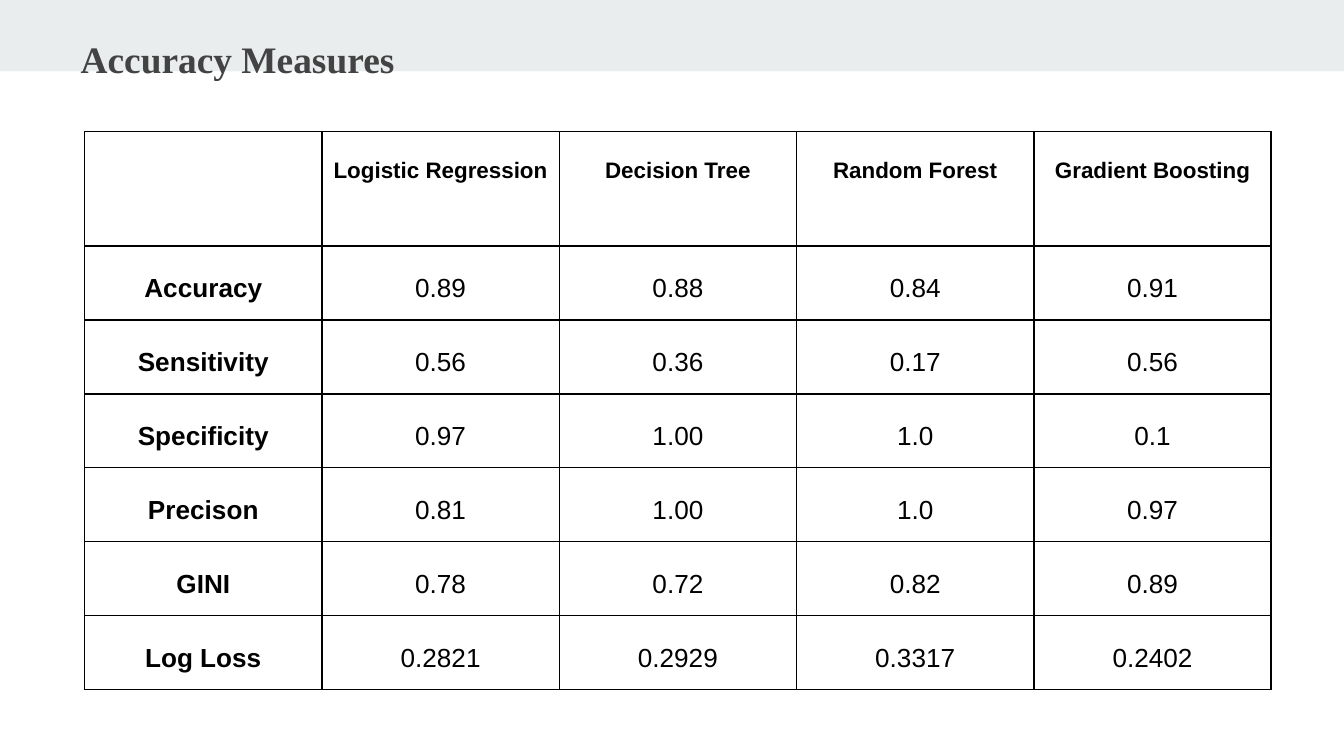
from lxml import etree
from pptx import Presentation
from pptx.dml.color import RGBColor
from pptx.enum import shapes, text
from pptx.oxml import ns
from pptx.util import Inches, Pt

BLACK = RGBColor(0, 0, 0)
BAND_GREY = RGBColor(0xE9, 0xED, 0xEE)
TITLE_GREY = RGBColor(0x43, 0x43, 0x43)

MEASURES = [
    ["", "Logistic Regression", "Decision Tree", "Random Forest", "Gradient Boosting"],
    ["Accuracy", "0.89", "0.88", "0.84", "0.91"],
    ["Sensitivity", "0.56", "0.36", "0.17", "0.56"],
    ["Specificity", "0.97", "1.00", "1.0", "0.1"],
    ["Precison", "0.81", "1.00", "1.0", "0.97"],
    ["GINI", "0.78", "0.72", "0.82", "0.89"],
    ["Log Loss", "0.2821", "0.2929", "0.3317", "0.2402"],
]


class SlideBuilder:
    title_font = "Times New Roman"
    table_font = "Arial"

    def __init__(self, deck):
        self.slide = deck.slides.add_slide(deck.slide_layouts[5])

    def band(self, width, height):
        band = self.slide.shapes.add_shape(shapes.MSO_SHAPE.RECTANGLE, 0, 0, width, height)
        band.shadow.inherit = False
        band.fill.solid()
        band.fill.fore_color.rgb = BAND_GREY
        band.line.fill.background()

    def title(self, words, left, top, width, height):
        """Fill the title placeholder and bring it to the front."""
        title = self.slide.shapes.title
        title.left, title.top, title.width, title.height = left, top, width, height
        frame = title.text_frame
        frame.text = words
        frame.word_wrap = True
        frame.auto_size = text.MSO_AUTO_SIZE.SHAPE_TO_FIT_TEXT
        frame.vertical_anchor = text.MSO_ANCHOR.TOP
        frame.margin_left = frame.margin_right = Inches(0.1)
        frame.margin_top = frame.margin_bottom = Inches(0.1)
        para = frame.paragraphs[0]
        para._p.get_or_add_pPr().set("marL", str(Inches(0.5)))
        para.alignment = text.PP_ALIGN.LEFT
        para.line_spacing = 1.5
        para.space_before = Pt(0)
        self.set_font(para, self.title_font, 20, TITLE_GREY, True)
        self.slide.shapes._spTree.append(title._element)

    def table(self, rows, left, top, width, header_height, row_height):
        count = len(rows[0])
        height = header_height + row_height * (len(rows) - 1)
        table = self.slide.shapes.add_table(
            len(rows), count, left, top, width, height).table
        table.first_row = table.horz_banding = False
        for i, values in enumerate(rows):
            table.rows[i].height = row_height if i else header_height
            for j, value in enumerate(values):
                self.cell(table.cell(i, j), value, 14 if i else 12, i == 0 or j == 0)

    def cell(self, cell, value, size, bold):
        cell.margin_left = cell.margin_right = Inches(0.07)
        cell.margin_top = cell.margin_bottom = Inches(0.1)
        self.cell_borders(cell)
        cell.fill.background()
        cell.text = value
        para = cell.text_frame.paragraphs[0]
        para.alignment = text.PP_ALIGN.CENTER
        para.line_spacing = 1.5
        para.space_after = Pt(12)
        self.set_font(para, self.table_font, size, BLACK, bold)

    def cell_borders(self, cell):
        properties = cell._tc.get_or_add_tcPr()
        for side in ("a:lnL", "a:lnR", "a:lnT", "a:lnB"):
            line = etree.SubElement(properties, ns.qn(side), w=str(Pt(1)))
            fill = etree.SubElement(line, ns.qn("a:solidFill"))
            etree.SubElement(fill, ns.qn("a:srgbClr"), val=str(BLACK))

    def set_font(self, para, name, size, color, bold):
        para.font.name = name
        para.font.size = Pt(size)
        para.font.color.rgb = color
        para.font.bold = bold


def main():
    deck = Presentation()
    deck.slide_width = Inches(10)
    deck.slide_height = deck.slide_width * 9 // 16
    builder = SlideBuilder(deck)
    builder.band(deck.slide_width, Inches(0.53))
    builder.table(MEASURES, Inches(0.63), Inches(0.98), Inches(8.83),
                  header_height=Inches(0.85), row_height=Inches(0.55))
    builder.title("Accuracy Measures", 0, 0, Inches(3.28), Inches(0.54))
    deck.save("out.pptx")


if __name__ == "__main__":
    main()
